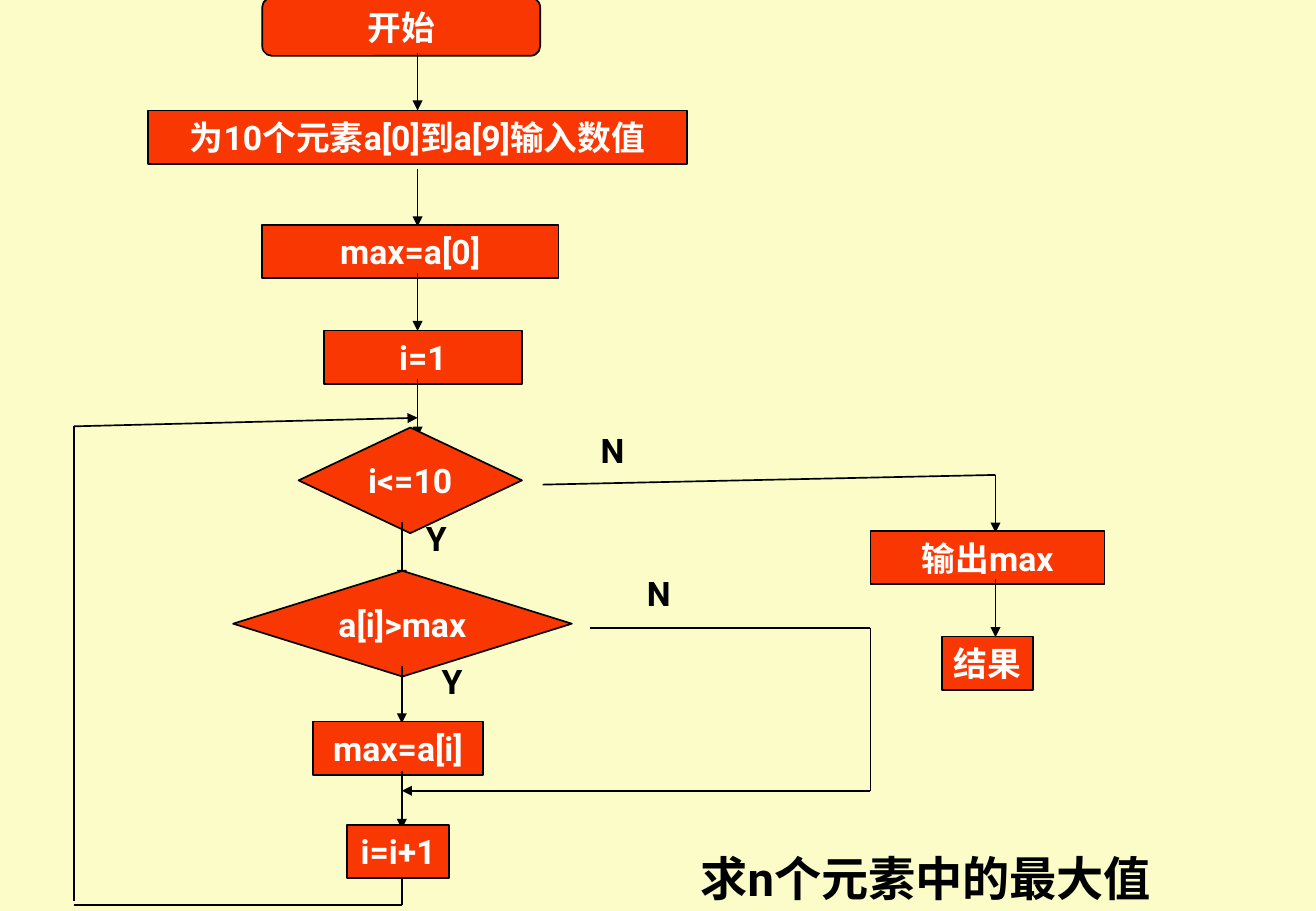
from dataclasses import dataclass

from lxml import etree
from pptx import Presentation
from pptx import util as u
from pptx.dml.color import RGBColor
from pptx.enum import shapes, text
from pptx.oxml.ns import qn

WIDTH, HEIGHT = u.Inches(10.84), u.Inches(7.5)
COLUMN, ROW = WIDTH / 108.4, HEIGHT / 75
STEP_ROWS, DECISION_ROWS, ARROW_ROWS = 4.4, 8.7, 4.75
COLORS = {"page": "FBFCC8", "step": "F83702", "ink": "000000", "step_text": "FFFFFF"}
FONT = "Roboto"
PROCESS = shapes.MSO_SHAPE.RECTANGLE
TERMINAL = shapes.MSO_SHAPE.FLOWCHART_ALTERNATE_PROCESS
DECISION = shapes.MSO_SHAPE.FLOWCHART_DECISION


@dataclass
class Region:
    column: float
    row: float

    def point(self, column, row):
        return round((self.column + column) * COLUMN), round((self.row + row) * ROW)

    def frame(self, column, row, columns, rows):
        return (*self.point(column, row), round(columns * COLUMN), round(rows * ROW))


def rgb(name):
    return RGBColor.from_string(COLORS[name])


def write(frame, words, color, size=20, align=text.PP_ALIGN.LEFT, anchor=text.MSO_ANCHOR.TOP):
    frame.word_wrap = False
    frame.auto_size = text.MSO_AUTO_SIZE.NONE
    frame.vertical_anchor = anchor
    frame.margin_left = frame.margin_right = u.Inches(0.1)
    frame.margin_top = frame.margin_bottom = u.Inches(0.05)
    paragraph = frame.paragraphs[0]
    paragraph.alignment = align
    run = paragraph.add_run()
    run.text = words
    run.font.name = FONT
    run.font.size = u.Pt(size)
    run.font.bold = True
    run.font.color.rgb = rgb(color)


def add_step(slide, region, words, kind, column, row, columns, rows=STEP_ROWS):
    step = slide.shapes.add_shape(kind, *region.frame(column, row, columns, rows))
    step.shadow.inherit = False
    step.fill.solid()
    step.fill.fore_color.rgb = rgb("step")
    step.line.color.rgb = rgb("ink")
    step.line.width = u.Pt(1)
    write(step.text_frame, words, "step_text",
          align=text.PP_ALIGN.CENTER, anchor=text.MSO_ANCHOR.MIDDLE)
    return step


def add_flow(slide, region, start, end, arrow=False):
    flow = slide.shapes.add_connector(
        shapes.MSO_CONNECTOR.STRAIGHT, *region.point(*start), *region.point(*end))
    flow.line.color.rgb = rgb("ink")
    flow.line.width = u.Pt(1)
    if arrow:
        etree.SubElement(flow.line._get_or_add_ln(), qn("a:tailEnd"), type="triangle")
    etree.SubElement(flow._element.spPr, qn("a:effectLst"))
    return flow


def add_down_arrow(slide, region, axis, row):
    return add_flow(slide, region, (axis, row), (axis, row + ARROW_ROWS), True)


def add_path(slide, region, points, arrow=False):
    for index, (start, end) in enumerate(zip(points, points[1:]), 2):
        add_flow(slide, region, start, end, arrow and index == len(points))


def add_answer(slide, region, words, column, row):
    answer = slide.shapes.add_textbox(*region.frame(column, row, 4, STEP_ROWS))
    write(answer.text_frame, words, "ink")


def draw_setup(slide, region):
    axis = 22.2
    add_step(slide, region, "开始", TERMINAL, 9.4, -0.2, 22.9, 4.8)
    to_input = add_down_arrow(slide, region, axis, 4.4)
    input_step = add_step(slide, region, "为10个元素a[0]到a[9]输入数值", PROCESS, 0, 9.1, 44.4)
    to_input.end_connect(input_step, 0)
    add_down_arrow(slide, region, axis, 13.9)
    add_step(slide, region, "max=a[0]", PROCESS, 9.4, 18.5, 24.4)
    add_down_arrow(slide, region, axis, 22.5)
    add_step(slide, region, "i=1", PROCESS, 14.5, 27.2, 16.3)
    add_down_arrow(slide, region, axis, 31.2)


def draw_loop(slide, region):
    axis = 27
    add_step(slide, region, "i<=10", DECISION, 18.5, 0.8, 18.4, DECISION_ROWS)
    add_down_arrow(slide, region, axis, 8.6)
    add_step(slide, region, "a[i]>max", DECISION, 13.1, 12.6, 27.9, DECISION_ROWS)
    add_down_arrow(slide, region, axis, 20.4)
    add_step(slide, region, "max=a[i]", PROCESS, 19.7, 25, 14)
    add_down_arrow(slide, region, axis, 29.1)
    add_step(slide, region, "i=i+1", PROCESS, 22.5, 33.5, 8.4)
    add_path(slide, region, [(42.5, 17.3), (65.6, 17.3), (65.6, 30.7), (axis, 30.7)], True)
    add_path(slide, region, [(axis, 37.8), (axis, 40.1), (0, 40.1)])
    add_path(slide, region, [(0, 39.8), (0, 0.7), (28.3, 0)], True)
    add_answer(slide, region, "Y", 28, 7.7)
    add_answer(slide, region, "Y", 29.3, 19.5)
    add_answer(slide, region, "N", 46.2, 12.3)


def draw_output(slide, region):
    axis = 37.3
    add_answer(slide, region, "N", 3.8, 0)
    add_flow(slide, region, (0, 5), (axis, 4.2))
    add_down_arrow(slide, region, axis, 4.2)
    add_step(slide, region, "输出max", PROCESS, 27, 8.8, 19.3)
    add_down_arrow(slide, region, axis, 12.8)
    add_step(slide, region, "结果", PROCESS, 32.9, 17.5, 7.5)


def draw_title(slide, region):
    title = slide.shapes.title
    title.left, title.top, title.width, title.height = region.frame(0, 0, 41.3, 5.7)
    write(title.text_frame, "求n个元素中的最大值", "ink", size=28)


def main():
    deck = Presentation()
    deck.slide_width, deck.slide_height = WIDTH, HEIGHT
    slide = deck.slides.add_slide(deck.slide_layouts[5])
    slide.background.fill.solid()
    slide.background.fill.fore_color.rgb = rgb("page")
    draw_setup(slide, Region(12.2, 0))
    draw_loop(slide, Region(6.1, 34.4))
    draw_output(slide, Region(44.7, 34.9))
    draw_title(slide, Region(56.7, 69.4))
    deck.save("out.pptx")


if __name__ == "__main__":
    main()
